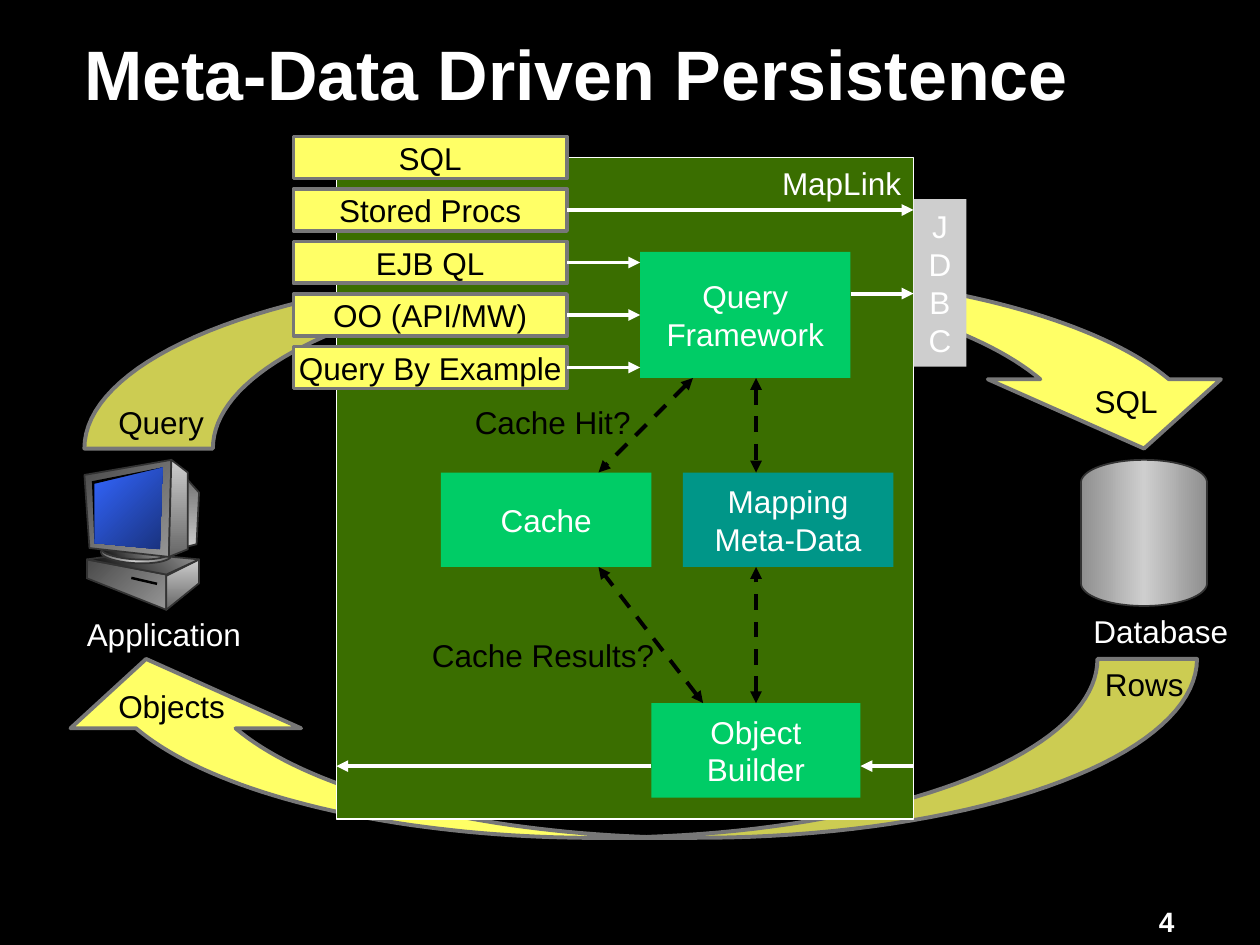
import math
from dataclasses import dataclass
from typing import Any, Optional, Sequence

import pptx
import pptx.dml.color
import pptx.enum.dml
import pptx.enum.shapes
import pptx.enum.text
import pptx.oxml.ns
import pptx.util
from lxml import etree

Inches, Pt = pptx.util.Inches, pptx.util.Pt
SHAPE = pptx.enum.shapes.MSO_SHAPE
ALIGN = pptx.enum.text.PP_ALIGN
ANCHOR = pptx.enum.text.MSO_ANCHOR
FIT = pptx.enum.text.MSO_AUTO_SIZE
qn = pptx.oxml.ns.qn

BLACK, WHITE, YELLOW, OLIVE = "000000", "FFFFFF", "FFFF66", "CCCC52"
EDGE, OUTLINE, GREEN = "777777", "333333", "00CC66"
ROW = 5 / 12  # pitch of the query type boxes, centred on whole rows from 3 to 7
TOP, LEFT, BOTTOM, RIGHT = range(4)
Point = tuple[float, float]


@dataclass
class Gradient:
    colors: tuple[str, ...]
    angle: float


@dataclass
class Box:
    text: str
    at: tuple[float, float, float, float]
    fill: str
    color: str = WHITE
    line: Optional[str] = None
    width: float = 1
    align: Any = ALIGN.CENTER
    anchor: Any = ANCHOR.MIDDLE
    wrap: bool = True


@dataclass
class Link:
    start: Point
    end: Point
    color: str = WHITE
    both: bool = False
    begin: Optional[tuple[str, int]] = None
    finish: Optional[tuple[str, int]] = None


@dataclass
class CurvedArrow:
    tail_x: float
    head_x: float
    rx: float
    ry: float
    base: float
    turn: int  # 1 bends over the top, -1 under the bottom
    head: tuple[float, float, float]


def rgb(color: str) -> pptx.dml.color.RGBColor:
    return pptx.dml.color.RGBColor.from_string(color)


def set_attrs(obj: Any, fmt: dict[str, Any]) -> None:
    for name, value in fmt.items():
        setattr(obj, name, value)


def paint(sp: Any, fill: Any, line: Optional[str] = None, width: float = 1) -> None:
    sp.shadow.inherit = False
    if isinstance(fill, Gradient):
        sp.fill.gradient()
        sp.fill.gradient_angle = (360 - fill.angle) % 360
        stops = next(sp._element.iter(qn("a:gsLst")))
        stops.clear()
        for i, color in enumerate(fill.colors):
            pos = str(round(100000 * i / (len(fill.colors) - 1)))
            gs = etree.SubElement(stops, qn("a:gs"), pos=pos)
            etree.SubElement(gs, qn("a:srgbClr"), val=color)
    else:
        sp.fill.solid()
        sp.fill.fore_color.rgb = rgb(fill)
    if line:
        sp.line.color.rgb = rgb(line)
        sp.line.width = Pt(width)
    else:
        sp.line.fill.background()


def write(sp: Any, text: str, color: str, frame: dict[str, Any],
          align: Any = ALIGN.LEFT, size: float = 18, bold: bool = False) -> None:
    tf = sp.text_frame
    set_attrs(tf, frame)
    tf.text = text
    for p in tf.paragraphs:
        p.alignment = align
        for r in p.runs:
            set_attrs(r.font, {"name": "Arial", "size": Pt(size), "bold": bold})
            r.font.color.rgb = rgb(color)


def add_box(s: Any, box: Box) -> Any:
    sp = s.shapes.add_shape(SHAPE.RECTANGLE, *map(Inches, box.at))
    paint(sp, box.fill, box.line, box.width)
    write(sp, box.text, box.color,
          {"word_wrap": box.wrap, "vertical_anchor": box.anchor}, box.align)
    return sp


def add_label(s: Any, text: str, at: Sequence[float], color: str, **font: Any) -> None:
    """Add a one-line label; no right margin, so the line has room to spare."""
    sp = s.shapes.add_textbox(*map(Inches, at))
    write(sp, text, color, {"word_wrap": True, "auto_size": FIT.NONE, "margin_right": 0}, **font)


def add_outline(s: Any, points: Sequence[Point], fill: Any,
                line: Optional[str] = None, width: float = 1) -> None:
    pts = [(Inches(x), Inches(y)) for x, y in points]
    fb = s.shapes.build_freeform(*pts[0])
    fb.add_line_segments(pts[1:], close=True)
    paint(fb.convert_to_shape(), fill, line, width)


def add_link(s: Any, link: Link, boxes: dict[str, Any]) -> None:
    c = s.shapes.add_connector(pptx.enum.shapes.MSO_CONNECTOR.STRAIGHT,
                               *map(Inches, link.start + link.end))
    if link.begin:
        c.begin_connect(boxes[link.begin[0]], link.begin[1])
    if link.finish:
        c.end_connect(boxes[link.finish[0]], link.finish[1])
    c.line.color.rgb = rgb(link.color)
    c.line.width = Pt(2.25)
    if link.both:
        c.line.dash_style = pptx.enum.dml.MSO_LINE.DASH
    ln = next(c._element.iter(qn("a:ln")))
    for end in ("a:headEnd", "a:tailEnd") if link.both else ("a:tailEnd",):
        etree.SubElement(ln, qn(end), type="triangle")
    etree.SubElement(c._element.spPr, qn("a:effectLst"))


def arc(cx: float, cy: float, rx: float, ry: float, start: float, end: float) -> list[Point]:
    """Points of an ellipse, with angle 0 at its left and pi / 2 at its top."""
    angles = [start + (end - start) * i / 40 for i in range(41)]
    return [(cx - rx * math.cos(a), cy - ry * math.sin(a)) for a in angles]


def add_curved_arrow(s: Any, a: CurvedArrow) -> None:
    def bend(cx: float, start: float, end: float) -> list[Point]:
        return arc(cx, a.base, a.turn * a.rx, a.turn * a.ry, start, end)

    half = math.pi / 2
    cross = math.asin(abs(a.head_x - a.tail_x) / 2 / a.rx)
    neck = math.pi - math.asin(0.55 / a.ry)
    neck_y = a.base - a.turn * 0.55
    outer, tip, inner = a.head
    head = [(outer, neck_y), (tip, a.base), (inner, neck_y)]
    front = bend(a.head_x, half, neck) + head + bend(a.tail_x, neck, half)
    back = bend(a.tail_x, 0, half + cross) + bend(a.head_x, half - cross, 0)
    add_outline(s, front, YELLOW, EDGE, 2.25)
    add_outline(s, back, OLIVE, EDGE, 2.25)


def add_computer(s: Any) -> None:
    side = Gradient(("CECECE", "666666"), 90)
    face = Gradient(("969696", "4A4A4A"), 225)
    lid = Gradient(("969696", BLACK), 135)
    screen = Gradient(("19327E", "3366FF"), 225)
    for points, fill in [
        ([(1.42, 3.73), (1.58, 3.91), (1.56, 4.32), (1.4, 4.36)], Gradient(("666666", "CECECE"), 90)),
        ([(0.69, 4.44), (1.32, 4.56), (1.32, 4.84), (0.69, 4.59)], face),
        ([(1.32, 4.57), (1.32, 4.84), (1.58, 4.63), (1.58, 4.44)], side),
        ([(0.69, 4.44), (1.05, 4.39), (1.58, 4.44), (1.32, 4.56)], lid),
    ]:
        add_outline(s, points, fill, OUTLINE)
    for y, fill in [(4.32, Gradient(("666666", "CECECE", "666666"), 180)),
                    (4.29, Gradient(("CECECE", BLACK), 135))]:
        sp = s.shapes.add_shape(SHAPE.OVAL, *map(Inches, (0.8, y, 0.56, 0.15)))
        sp.rotation = 3
        paint(sp, fill, OUTLINE)
    for points, fill, line in [
        ([(1.34, 4.42), (1.36, 3.65), (0.67, 3.77), (0.71, 4.35)], face, OUTLINE),
        ([(1.36, 3.65), (1.49, 3.75), (1.49, 4.36), (1.34, 4.42)], side, OUTLINE),
        ([(0.75, 3.84), (0.75, 4.31), (1.27, 4.36), (1.29, 3.71)], screen, None),
        ([(0.75, 4.31), (0.73, 3.82), (1.29, 3.71), (0.75, 3.84)], BLACK, None),
    ]:
        add_outline(s, points, fill, line)
    slot = s.shapes.add_shape(SHAPE.RECTANGLE, *map(Inches, (1.04, 4.6, 0.21, 0.02)))
    slot.rotation = 13
    paint(slot, BLACK)


def main() -> None:
    prs = pptx.Presentation()
    set_attrs(prs, {"slide_width": Inches(10), "slide_height": Inches(7.5)})
    s = prs.slides.add_slide(prs.slide_layouts[5])
    s.background.fill.solid()
    s.background.fill.fore_color.rgb = rgb(BLACK)

    title = s.shapes.title
    set_attrs(title, dict(zip(("left", "top", "width", "height"), map(Inches, (0.67, 0.33, 8.17, 0.59)))))
    frame = dict.fromkeys(("margin_left", "margin_top", "margin_right", "margin_bottom"), 0)
    frame |= {"vertical_anchor": ANCHOR.MIDDLE, "auto_size": FIT.NONE, "word_wrap": True}
    write(title, "Meta-Data Driven Persistence", WHITE, frame, size=40, bold=True)
    title.text_frame.paragraphs[0].line_spacing = 0.85
    add_label(s, "4", (9.1, 7.13, 0.4, 0.37), WHITE, size=16, bold=True)

    add_computer(s)
    cylinder = arc(9.08, 3.83, 0.5, 0.18, 0, math.pi) + arc(9.08, 4.63, 0.5, 0.18, math.pi, 2 * math.pi)
    add_outline(s, cylinder, Gradient(("8F8F8F", "CECECE", "8F8F8F"), 180), OUTLINE)
    add_curved_arrow(s, CurvedArrow(4.62, 5.64, 3.95, 1.41, 3.56, 1, (9.69, 9.08, 7.84)))
    add_curved_arrow(s, CurvedArrow(5.53, 4.74, 3.97, 1.42, 5.23, -1, (0.56, 1.16, 2.39)))

    queries = ["SQL", "Stored Procs", "EJB QL", "OO (API/MW)", "Query By Example"]
    boxes = {box.text: add_box(s, box) for box in [
        Box("MapLink", (2.67, 1.25, 4.58, 5.25), "3A6E00", line=WHITE, align=ALIGN.RIGHT, anchor=ANCHOR.TOP),
        Box("Cache", (3.5, 3.75, 1.67, 0.75), GREEN),
        Box("JDBC", (7.25, 1.58, 0.42, 1.33), "CECECE"),
        Box("Query\nFramework", (5.08, 2, 1.67, 1), GREEN),
        Box("Object\nBuilder", (5.17, 5.58, 1.66, 0.75), GREEN),
        Box("Mapping Meta-Data", (5.42, 3.75, 1.67, 0.75), "009688"),
        *(Box(text, (2.33, (i - 0.4) * ROW, 2.17, 0.8 * ROW), YELLOW, BLACK, EDGE, 2.25, wrap=False)
          for i, text in enumerate(queries, 3)),
    ]}

    for text, at, color in [
        ("Application", (0.59, 4.83, 1.42, 0.4), WHITE),
        ("Database", (8.58, 4.81, 1.27, 0.4), WHITE),
        ("SQL", (8.59, 2.98, 0.7, 0.4), BLACK),
        ("Rows", (8.67, 5.23, 0.82, 0.4), BLACK),
        ("Objects", (0.84, 5.4, 1.05, 0.4), BLACK),
        ("Query", (0.84, 3.15, 0.88, 0.4), BLACK),
        ("Cache Hit?", (3.67, 3.15, 1.43, 0.4), BLACK),
        ("Cache Results?", (3.33, 5, 1.96, 0.4), BLACK),
    ]:
        add_label(s, text, at, color)

    for link in [
        Link((4.5, 4 * ROW), (7.25, 4 * ROW), begin=("Stored Procs", RIGHT)),
        Link((4.5, 5 * ROW), (5.08, 5 * ROW), begin=("EJB QL", RIGHT)),
        Link((4.5, 6 * ROW), (5.08, 6 * ROW), begin=("OO (API/MW)", RIGHT), finish=("Query\nFramework", LEFT)),
        Link((4.5, 7 * ROW), (5.08, 7 * ROW), begin=("Query By Example", RIGHT)),
        Link((6.75, 2.33), (7.25, 2.33)),
        Link((5.17, 6.08), (2.67, 6.08)),
        Link((7.25, 6.08), (6.83, 6.08)),
        Link((5.5, 3), (4.75, 3.75), BLACK, True),
        Link((5.58, 5.58), (4.75, 4.5), BLACK, True),
        Link((6, 3), (6, 3.75), BLACK, True),
        Link((6, 5.58), (6, 4.5), BLACK, True, begin=("Object\nBuilder", TOP)),
    ]:
        add_link(s, link, boxes)
    prs.save("out.pptx")


if __name__ == "__main__":
    main()
